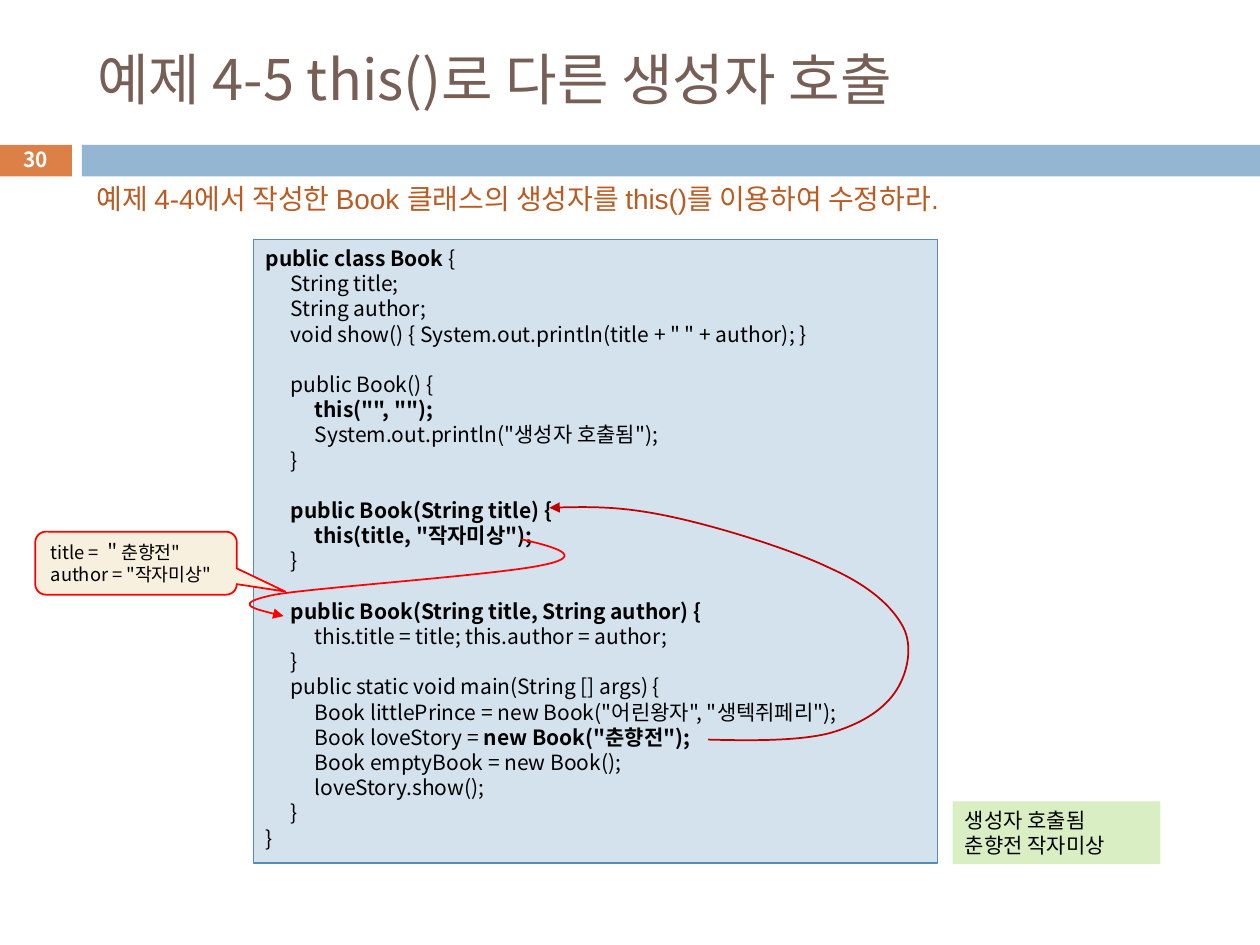
from dataclasses import dataclass

from lxml import etree
from pptx import Presentation
from pptx.dml.color import RGBColor
from pptx.enum import shapes, text
from pptx.oxml import ns
from pptx.util import Inches, Pt


@dataclass(frozen=True)
class Theme:
    font: str = "Noto Sans CJK KR"
    latin: str = "Arial"
    title: str = "775F55"
    accent: str = "DD8047"
    band: str = "94B6D2"
    task: str = "B95B22"
    code_fill: str = "D4E2ED"
    code_line: str = "558BB8"
    output_fill: str = "DAEEC4"
    callout_fill: str = "F7F0DE"
    red: str = "FF0000"
    dark_red: str = "C00000"
    black: str = "000000"
    white: str = "FFFFFF"
    title_size: float = 32
    task_size: float = 16
    code_size: float = 12
    number_size: float = 11.9
    callout_size: float = 10.5
    line_factor: float = 1.2


THEME = Theme()
TAB_STOPS = (0.2, 0.39)

# Leading spaces give the indent level; ** marks bold code
CODE = """\
**public class Book **{
    String title;
    String author;
    void show() { System.out.println(title + " " + author); }

    public Book() {
        **this("", "");**
        System.out.println("생성자 호출됨");
    }

    **public Book(String title) {**
        **this(title, "작자미상");**
    }

    **public Book(String title, String author) {**
        this.title = title; this.author = author;
    }
    public static void main(String [] args) {
        Book littlePrince = new Book("어린왕자", "생텍쥐페리");
        Book loveStory = **new Book("춘향전");**
        Book emptyBook = new Book();
        loveStory.show();
    }
}"""


def rgb(color):
    return RGBColor.from_string(color)


def add_child(parent, tag, **attributes):
    return etree.SubElement(parent, ns.qn(tag), attributes)


def style_paragraph(paragraph, size, color, latin=THEME.font, bold=None):
    font = paragraph.font
    font.name, font.size, font.bold = latin, Pt(size), bold
    font.color.rgb = rgb(color)
    properties = paragraph._p.pPr.find(ns.qn("a:defRPr"))
    add_child(properties, "a:ea", typeface=THEME.font)


def prepare_frame(shape, anchor, wrap=True):
    frame = shape.text_frame
    frame.auto_size = text.MSO_AUTO_SIZE.NONE
    frame.word_wrap = wrap
    frame.vertical_anchor = anchor
    return frame


def write_line(shape, words, size, color, align=text.PP_ALIGN.LEFT, **style):
    frame = prepare_frame(shape, text.MSO_ANCHOR.MIDDLE)
    paragraph = frame.paragraphs[0]
    paragraph.text = words
    paragraph.alignment = align
    style_paragraph(paragraph, size, color, **style)


def write_code(shape, source, size, anchor=text.MSO_ANCHOR.TOP, wrap=True):
    frame = prepare_frame(shape, anchor, wrap)
    for index, line in enumerate(source.split("\n")):
        paragraph = frame.add_paragraph() if index else frame.paragraphs[0]
        paragraph.alignment = text.PP_ALIGN.LEFT
        code = line.lstrip()
        level = (len(line) - len(code)) // 4
        if level:
            stops = add_child(paragraph._p.pPr, "a:tabLst")
            for stop in TAB_STOPS:
                add_child(stops, "a:tab", pos=str(Inches(stop)), algn="l")
            paragraph.add_run().text = "\t" * level
        paragraph.line_spacing = Pt(size * THEME.line_factor)
        for part, words in enumerate(code.split("**")):
            if words:
                run = paragraph.add_run()
                run.text = words
                if part % 2:
                    run.font.bold = True
        style_paragraph(paragraph, size, THEME.black)


def add_box(slide, place, fill, line=None, width=1,
            kind=shapes.MSO_SHAPE.RECTANGLE):
    shape = slide.shapes.add_shape(kind, *map(Inches, place))
    shape.shadow.inherit = False
    shape.fill.solid()
    shape.fill.fore_color.rgb = rgb(fill)
    if line:
        shape.line.color.rgb = rgb(line)
        shape.line.width = Pt(width)
    else:
        shape.line.fill.background()
    return shape


def add_text(slide, place, *content, **style):
    box = slide.shapes.add_textbox(*map(Inches, place))
    write_line(box, *content, **style)


def add_curved_arrow(slide, place, color, start, curves):
    """Draw cubic curves, in slide inches, inside the box given by place."""
    left, top, width, height = place
    builder = slide.shapes.build_freeform(Inches(left), Inches(top))
    builder.add_line_segments(
        [(Inches(left + width), Inches(top + height))], close=False)
    shape = builder.convert_to_shape()
    shape.shadow.inherit = False
    shape.fill.background()
    shape.line.color.rgb = rgb(color)
    shape.line.width = Pt(1)
    add_child(shape.line._get_or_add_ln(), "a:tailEnd", type="triangle")

    # Replace the straight segment by curves
    outline = next(shape._element.iter(ns.qn("a:path")))
    for segment in list(outline):
        outline.remove(segment)
    for tag, points in [("a:moveTo", [start])] + [
            ("a:cubicBezTo", curve) for curve in curves]:
        segment = add_child(outline, tag)
        for x, y in points:
            add_child(segment, "a:pt", x=str(Inches(x - left)),
                      y=str(Inches(y - top)))


def main():
    presentation = Presentation()
    presentation.slide_width, presentation.slide_height = Inches(10), Inches(7.5)
    slide = presentation.slides.add_slide(presentation.slide_layouts[5])

    # Header: bands, title, page number and task
    add_box(slide, (-0.01, 1.15, 0.58, 0.25), THEME.accent)
    add_box(slide, (0.65, 1.15, 9.35, 0.25), THEME.band)
    title = slide.shapes.title
    title.left, title.top, title.width, title.height = map(
        Inches, (0.67, 0.25, 8.92, 0.74))
    write_line(title, "예제 4-5 this()로 다른 생성자 호출",
               THEME.title_size, THEME.title)
    add_text(slide, (-0.01, 1.13, 0.58, 0.27), "30", THEME.number_size,
             THEME.white, align=text.PP_ALIGN.CENTER, bold=True)
    add_text(slide, (0.67, 1.39, 8.56, 0.37),
             "예제 4-4에서 작성한 Book 클래스의 생성자를 this()를 이용하여 수정하라.",
             THEME.task_size, THEME.task, latin=THEME.latin)

    # Program and its output
    program = add_box(slide, (2.01, 1.9, 5.43, 4.95), THEME.code_fill,
                      THEME.code_line, 0.75)
    write_code(program, CODE, THEME.code_size)
    output = add_box(slide, (7.56, 6.36, 1.65, 0.5), THEME.output_fill)
    write_code(output, "생성자 호출됨\n춘향전 작자미상", THEME.code_size)

    # Call from this() to the two-argument constructor
    add_curved_arrow(slide, (2, 4.28, 2.49, 0.61), THEME.red, (4.14, 4.28), [
        [(4.4, 4.34), (4.65, 4.41), (4.33, 4.48)],
        [(4, 4.56), (2.53, 4.66), (2.18, 4.72)],
        [(1.84, 4.79), (2.04, 4.84), (2.25, 4.89)],
    ])
    callout = add_box(slide, (0.28, 4.22, 1.6, 0.5), THEME.callout_fill,
                      THEME.red,
                      kind=shapes.MSO_SHAPE.ROUNDED_RECTANGULAR_CALLOUT)
    for index, value in enumerate((0.74, 0.45, 0.17)):
        callout.adjustments[index] = value
    write_code(callout, 'title = ＂춘향전"\nauthor = "작자미상"',
               THEME.callout_size, text.MSO_ANCHOR.MIDDLE, wrap=False)

    # Call from main() to the one-argument constructor
    add_curved_arrow(slide, (4.36, 4.03, 2.85, 1.85), THEME.dark_red,
                     (5.62, 5.87), [
        [(5.98, 5.88), (6.34, 5.88), (6.58, 5.82)],
        [(6.83, 5.75), (7, 5.64), (7.1, 5.5)],
        [(7.2, 5.36), (7.25, 5.14), (7.17, 4.98)],
        [(7.08, 4.81), (6.9, 4.65), (6.59, 4.51)],
        [(6.28, 4.36), (5.7, 4.18), (5.32, 4.1)],
        [(4.95, 4.02), (4.66, 4.02), (4.36, 4.03)],
    ])

    presentation.save("out.pptx")


if __name__ == "__main__":
    main()
